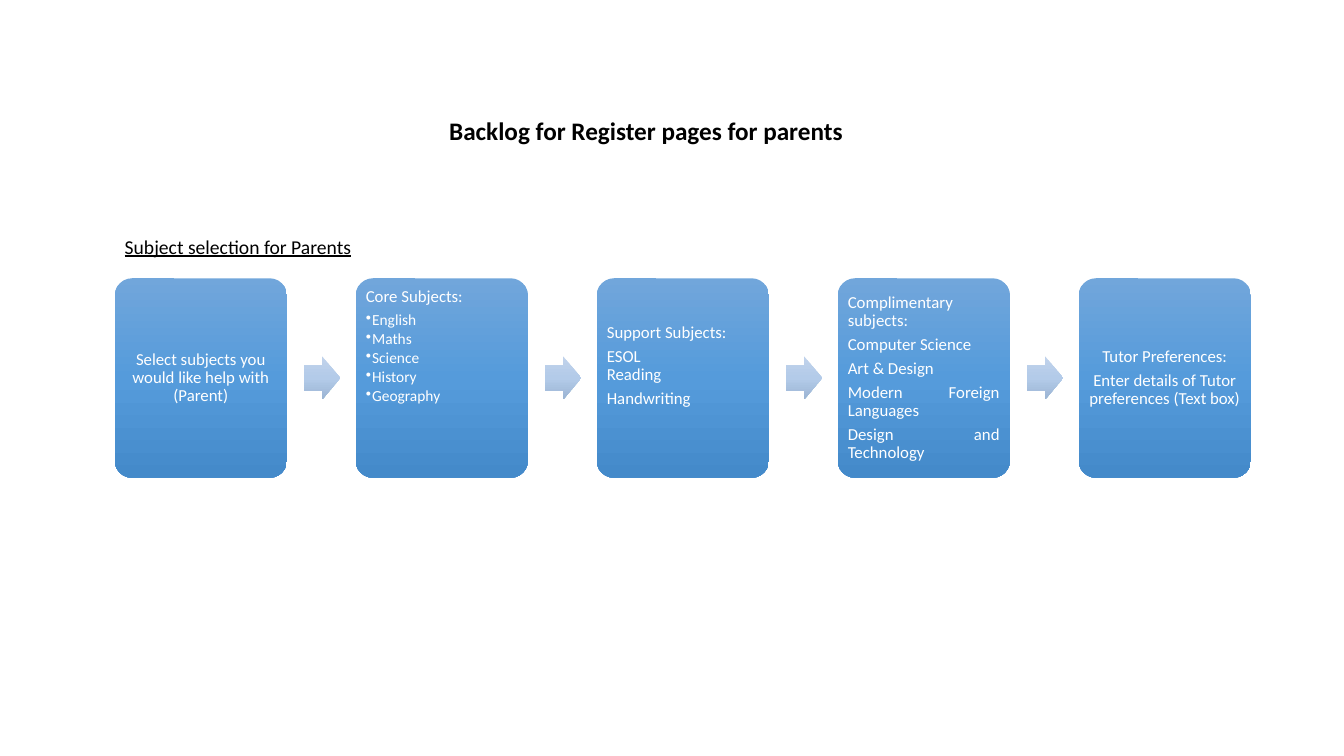
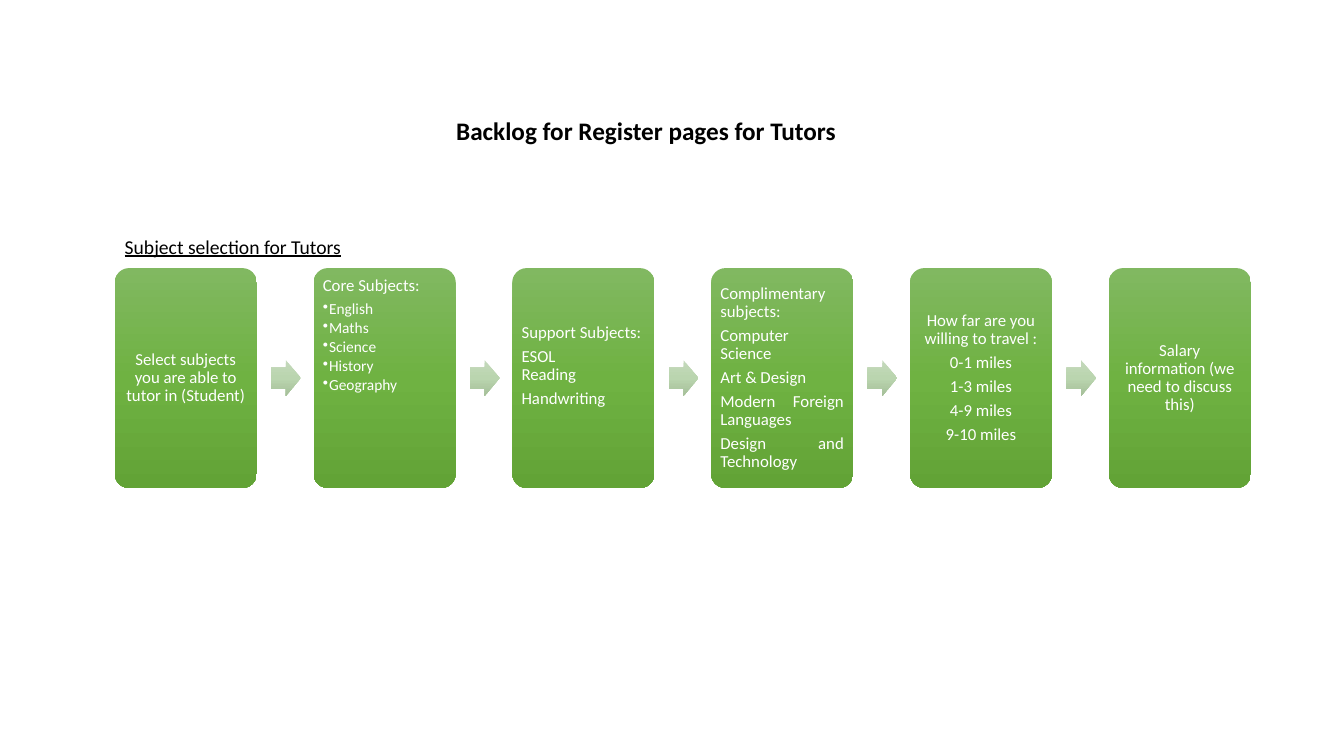
"""Build two backlog flow slides, one for parents and one for tutors."""
import copy

import pptx
import pptx.dml.color
import pptx.enum.shapes
import pptx.enum.text
import pptx.oxml
import pptx.oxml.ns
import pptx.util

Pt = pptx.util.Pt
KIND = pptx.enum.shapes.MSO_SHAPE
ALIGN = pptx.enum.text.PP_ALIGN
ANCHOR = pptx.enum.text.MSO_ANCHOR
HUES = {
    "ink": "000000",
    "white": "FFFFFF",
    "blue": ["71A6DB", "559BDB", "448ACA"],
    "pale blue": ["C0D2EB", "B3CBE9", "9BB4D3"],
    "green": ["81B861", "6FB242", "62A336"],
    "pale green": ["C4D9BB", "BAD5AF", "A5BF99"],
}
LEFT, SPAN, MIDDLE = 82, 811.5, 270
INSET = 3.6

CORE = (ALIGN.LEFT, ["Core Subjects:", "• English", "• Maths", "• Science",
                     "• History", "• Geography"])
SUPPORT = (ALIGN.JUSTIFY, ["Support Subjects:", "ESOL\vReading", "Handwriting"])
EXTRA = (ALIGN.JUSTIFY, ["Complimentary subjects:", "Computer Science", "Art & Design",
                         "Modern Foreign Languages", "Design and Technology"])
PAGES = [
    ("Backlog for Register pages for parents", "Subject selection for Parents", "blue", 142.4, [
        (ALIGN.CENTER, ["Select subjects you would like help with (Parent)"]),
        CORE, SUPPORT, EXTRA,
        (ALIGN.CENTER, ["Tutor Preferences:",
                        "Enter details of Tutor preferences (Text box)"]),
    ]),
    ("Backlog for Register pages for Tutors", "Subject selection for Tutors", "green", 157, [
        (ALIGN.CENTER, ["Select subjects you are able to tutor in (Student)"]),
        CORE, SUPPORT, EXTRA,
        (ALIGN.CENTER, ["How far are you willing to travel :", "0-1 miles", "1-3 miles",
                        "4-9 miles", "9-10 miles"]),
        (ALIGN.CENTER, ["Salary information (we need to discuss this)"]),
    ]),
]


def style(para, text, size, hue, align):
    para.text = text
    para.alignment = align
    para.font.name = "Calibri"
    para.font.size = Pt(size)
    para.font.color.rgb = pptx.dml.color.RGBColor.from_string(HUES[hue])


def draw(slide, kind, left, wide, high, hue, adjust):
    shape = slide.shapes.add_shape(kind, Pt(left), Pt(MIDDLE - high / 2), Pt(wide), Pt(high))
    for index, value in enumerate(adjust):
        shape.adjustments[index] = value
    shape.shadow.inherit = False
    shape.line.fill.background()
    shape.fill.gradient()
    shape.fill.gradient_angle = 270
    stops = shape.element.spPr.find(".//" + pptx.oxml.ns.qn("a:gsLst"))
    stops.append(copy.deepcopy(stops[0]))
    for stop, tint, place in zip(shape.fill.gradient_stops, HUES[hue], (0, 0.5, 1)):
        stop.color.rgb = pptx.dml.color.RGBColor.from_string(tint)
        stop.position = place
    return shape


deck = pptx.Presentation()
deck.slide_width, deck.slide_height = Pt(960), Pt(540)

for title, label, hue, high, cards in PAGES:
    slide = deck.slides.add_slide(deck.slide_layouts[6])
    wide = SPAN / (1.4 * len(cards) - 0.4)

    for index, (align, lines) in enumerate(cards):
        left = LEFT + index * 1.4 * wide
        card = draw(slide, KIND.ROUNDED_RECTANGLE, left, wide, high, hue, [0.1])
        frame = card.text_frame
        frame.word_wrap = True
        frame.margin_left = frame.margin_right = frame.margin_top = Pt(INSET)
        frame.margin_bottom = Pt(INSET + 17.2 if lines is SUPPORT[1] else INSET)
        frame.vertical_anchor = ANCHOR.TOP if lines is CORE[1] else ANCHOR.MIDDLE
        for row, line in enumerate(lines):
            para = frame.add_paragraph() if row else frame.paragraphs[0]
            item = line.startswith("• ")
            if item:
                para.level = 1
                props = para._p.get_or_add_pPr()
                props.set("marL", str(Pt(4.5)))
                props.set("indent", str(-Pt(4.5)))
                props.append(pptx.oxml.parse_xml(
                    f'<a:buChar {pptx.oxml.ns.nsdecls("a")} char="•"/>'))
            style(para, line.removeprefix("• "), 11 if item else 12, "white", align)
            para.line_spacing = 0.9
            para.space_after = Pt(1.65 if item else 4.2)
        if index < len(cards) - 1:
            draw(slide, KIND.RIGHT_ARROW, left + 1.1 * wide, 0.21 * wide, 0.25 * wide,
                 "pale " + hue, [0.6, 0.5])

    for text, left, top, tall, size, align in [
        (title, 265.7, 78.5, 28.8, 18, ALIGN.CENTER),
        (label, LEFT, 164, 24.5, 14, ALIGN.JUSTIFY),
    ]:
        box = slide.shapes.add_textbox(Pt(left), Pt(top), Pt(391.7), Pt(tall))
        box.text_frame.word_wrap = True
        para = box.text_frame.paragraphs[0]
        style(para, text, size, "ink", align)
        para.font.bold = text is title
        para.font.underline = text is label

deck.save("out.pptx")
